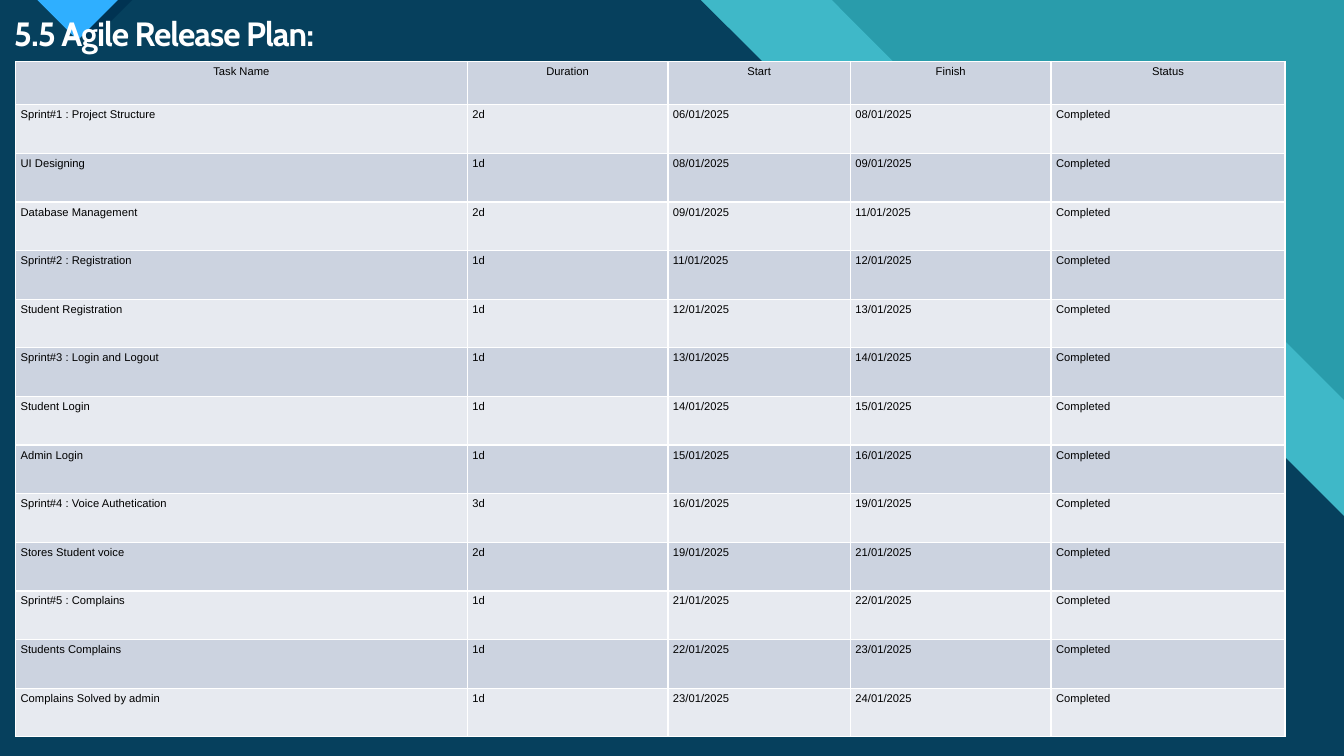
import pptx
import pptx.dml.color
import pptx.enum.shapes
import pptx.enum.text
import pptx.oxml
import pptx.oxml.ns
import pptx.util

COLORS = {
    "backdrop": "47C3D3", "teal": "299CAB", "navy": "003352", "blue": "2FAFFF",
    "white": "FFFFFF", "black": "000000", "row_dark": "CCD3E0", "row_light": "E7EAF0",
}
HEADERS = ["Task Name", "Duration", "Start", "Finish", "Status"]
COLUMN_SHARES = [33.61, 14.93, 13.58, 14.93, 17.4]
FIRST_DAY = 6
TASKS = [
    ("Sprint#1 : Project Structure", 2),
    ("UI Designing", 1),
    ("Database Management", 2),
    ("Sprint#2 : Registration", 1),
    ("Student Registration", 1),
    ("Sprint#3 : Login and Logout", 1),
    ("Student Login", 1),
    ("Admin Login", 1),
    ("Sprint#4 : Voice Authetication", 3),
    ("Stores Student voice", 2),
    ("Sprint#5 : Complains", 1),
    ("Students Complains", 1),
    ("Complains Solved by admin", 1),
]


def rgb(name):
    return pptx.dml.color.RGBColor.from_string(COLORS[name])


def release_rows():
    """Each task starts on the day the one before it finishes."""
    rows, day = [HEADERS], FIRST_DAY
    for name, days in TASKS:
        rows.append([name, f"{days}d", f"{day:02}/01/2025",
                     f"{day + days:02}/01/2025", "Completed"])
        day += days
    return rows


class Deck:
    """Holds the slide; every length is a percentage of its width or height."""

    def __init__(self):
        self.prs = pptx.Presentation()
        self.prs.slide_width = pptx.util.Inches(13.33)
        self.prs.slide_height = pptx.util.Inches(7.5)
        self.s = self.prs.slides.add_slide(self.prs.slide_layouts[6])
        self.s.background.fill.solid()
        self.s.background.fill.fore_color.rgb = rgb("backdrop")

    def x(self, share):
        return round(self.prs.slide_width * share / 100)

    def y(self, share):
        return round(self.prs.slide_height * share / 100)

    def box(self, left, top, width, height):
        return self.x(left), self.y(top), self.x(width), self.y(height)

    def paint(self, sp, color, alpha=100):
        sp.shadow.inherit = False
        sp.line.fill.background()
        sp.fill.solid()
        sp.fill.fore_color.rgb = rgb(color)
        if alpha < 100:
            clr = sp.fill._xPr.find(".//" + pptx.oxml.ns.qn("a:srgbClr"))
            clr.append(pptx.oxml.parse_xml(
                f'<a:alpha {pptx.oxml.ns.nsdecls("a")} val="{alpha * 1000}"/>'))

    def rectangle(self, color, *box):
        shape = pptx.enum.shapes.MSO_SHAPE.RECTANGLE
        self.paint(self.s.shapes.add_shape(shape, *self.box(*box)), color)

    def polygon(self, color, points, alpha=100):
        start, *rest = [(self.x(px), self.y(py)) for px, py in points]
        builder = self.s.shapes.build_freeform(*start)
        builder.add_line_segments(rest, close=True)
        self.paint(builder.convert_to_shape(), color, alpha)

    def font(self, p, name, size, color, bold=False):
        p.font.name = name
        p.font.size = pptx.util.Pt(size)
        p.font.bold = bold
        p.font.color.rgb = rgb(color)

    def title(self, text, *box):
        tf = self.s.shapes.add_textbox(*self.box(*box)).text_frame
        tf.word_wrap = True
        tf.vertical_anchor = pptx.enum.text.MSO_ANCHOR.MIDDLE
        p = tf.paragraphs[0]
        p.line_spacing = 0.9
        r = p.add_run()
        r.text = text
        self.font(p, "Cabin", 24, "white", bold=True)
        r._r.get_or_add_rPr().set("spc", "-70")

    def cell(self, cell, text, fill, centred):
        cell.margin_left = cell.margin_right = pptx.util.Inches(0.05)
        cell.margin_top = cell.margin_bottom = 0
        cell.text = text
        p = cell.text_frame.paragraphs[0]
        p.line_spacing = 1.3
        p.space_after = pptx.util.Pt(8)
        if centred:
            p.alignment = pptx.enum.text.PP_ALIGN.CENTER
        self.font(p, "Arial", 8, "black")
        cell.fill.solid()
        cell.fill.fore_color.rgb = rgb(fill)
        for i, side in enumerate(("lnL", "lnR", "lnT", "lnB")):
            cell._tc.get_or_add_tcPr().insert(i, pptx.oxml.parse_xml(
                f'<a:{side} {pptx.oxml.ns.nsdecls("a")} w="12700"><a:solidFill>'
                f'<a:srgbClr val="{COLORS["white"]}"/></a:solidFill></a:{side}>'))

    def table(self, rows, columns, left, top, height, header):
        """Banded table: a header row, then equal rows filling the height."""
        tbl = self.s.shapes.add_table(
            len(rows), len(columns), *self.box(left, top, sum(columns), height)).table
        tbl.first_row = tbl.horz_banding = False
        for column, share in zip(tbl.columns, columns):
            column.width = self.x(share)
        body = (height - header) / (len(rows) - 1)
        for i, texts in enumerate(rows):
            tbl.rows[i].height = self.y(body if i else header)
            for j, text in enumerate(texts):
                fill = "row_light" if i % 2 else "row_dark"
                self.cell(tbl.cell(i, j), text, fill, centred=i == 0)


def main():
    deck = Deck()
    deck.rectangle("teal", 0, 0, 100, 100)
    deck.polygon("backdrop", [(0, 0), (61.89, 0), (84.17, 39.73), (92.57, 39.73),
                              (100, 52.93), (100, 100), (0, 100)], alpha=74)
    deck.polygon("navy", [(0, 0), (52.14, 0), (74.42, 39.6), (83.87, 39.6),
                          (100, 68.27), (100, 100), (0, 100)], alpha=90)
    deck.polygon("navy", [(9.83, 0), (6.75, 5.47), (3.6, 0)])
    deck.polygon("blue", [(2.78, 0), (5.78, 5.33), (8.78, 0)])
    deck.title("5.5 Agile Release Plan:", 0.3, 1.6, 91.97, 6.13)
    deck.table(release_rows(), COLUMN_SHARES, left=1.16, top=8.13, height=89.33, header=5.73)
    deck.prs.save("out.pptx")


if __name__ == "__main__":
    main()
